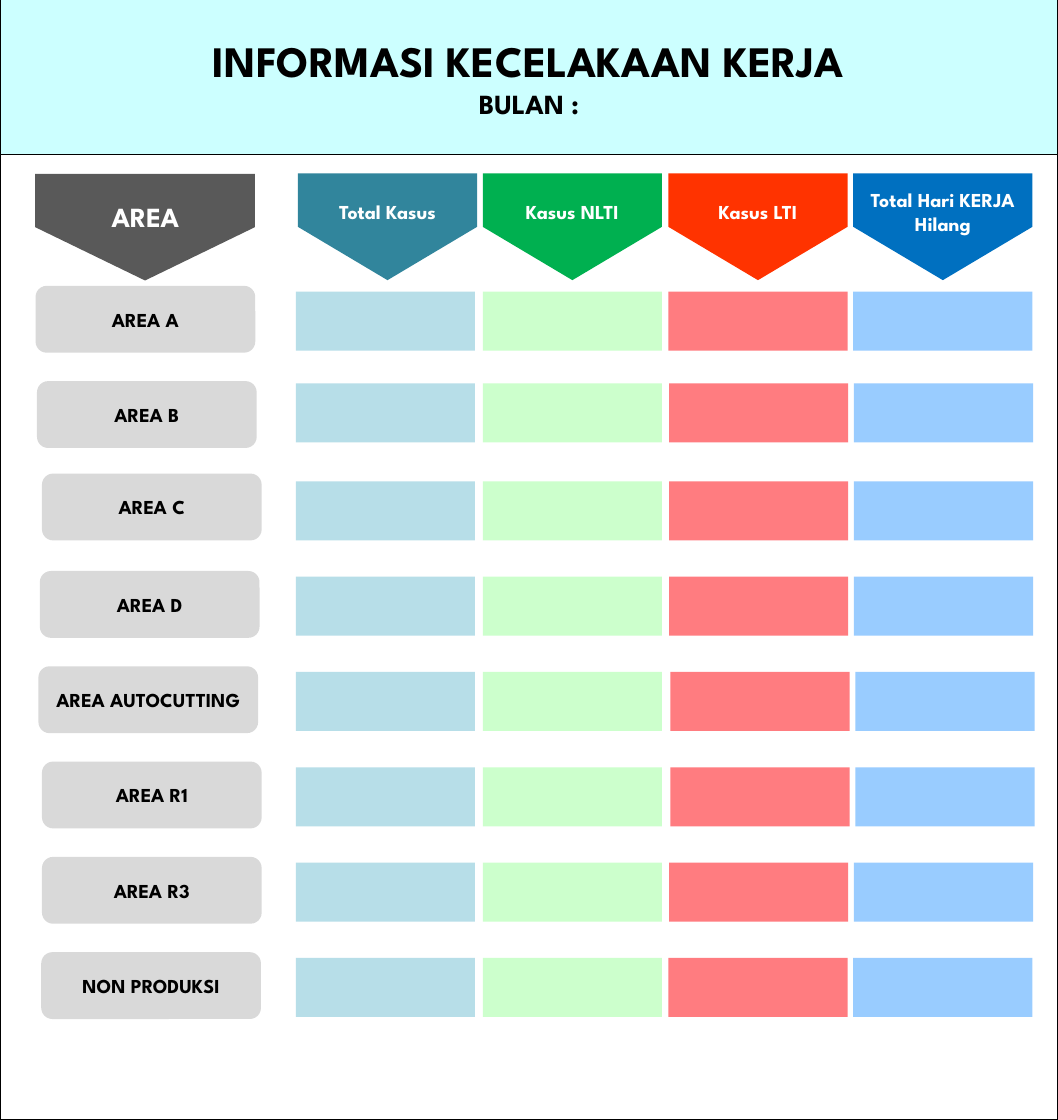
from pptx import Presentation
from pptx import util as u
from pptx.dml.color import RGBColor
from pptx.enum import shapes, text

PX = u.Inches(1) // 100
FONT = "League Spartan"
PAGE_WIDTH, PAGE_HEIGHT, BANNER_HEIGHT = 1488, 1575, 217

BLACK = RGBColor(0x00, 0x00, 0x00)
WHITE = RGBColor(0xFF, 0xFF, 0xFF)
CYAN = RGBColor(0xCC, 0xFF, 0xFF)
DARK_GREY = RGBColor(0x59, 0x59, 0x59)
LIGHT_GREY = RGBColor(0xD9, 0xD9, 0xD9)
TEAL = RGBColor(0x31, 0x85, 0x9C)
PALE_TEAL = RGBColor(0xB7, 0xDE, 0xE8)
GREEN = RGBColor(0x00, 0xB0, 0x50)
PALE_GREEN = RGBColor(0xCC, 0xFF, 0xCC)
RED = RGBColor(0xFF, 0x33, 0x00)
PALE_RED = RGBColor(0xFF, 0x7C, 0x80)
BLUE = RGBColor(0x00, 0x70, 0xC0)
PALE_BLUE = RGBColor(0x99, 0xCC, 0xFF)

HEADER_TOP, HEADER_HEIGHT = 244, 150
AREA_LEFT, AREA_WIDTH, AREA_HEIGHT = 50, 309, 94
CELL_WIDTH, CELL_HEIGHT = 252, 83

# Header text, header left, cell left, header colour, cell colour
COLUMNS = [
    ("Total Kasus", 419, 416, TEAL, PALE_TEAL),
    ("Kasus NLTI", 679, 679, GREEN, PALE_GREEN),
    ("Kasus LTI", 940, 940, RED, PALE_RED),
    ("Total Hari KERJA Hilang", 1200, 1200, BLUE, PALE_BLUE),
]
# Area name, label left, label top, cell top, shift of the last two cells
ROWS = [
    ("AREA A", 50, 402, 410, 0),
    ("AREA B", 52, 536, 539, 1),
    ("AREA C", 59, 666, 677, 1),
    ("AREA D", 56, 803, 811, 1),
    ("AREA AUTOCUTTING", 54, 937, 945, 3),
    ("AREA R1", 59, 1071, 1079, 3),
    ("AREA R3", 59, 1205, 1213, 1),
    ("NON PRODUKSI", 58, 1339, 1347, 0),
]


def scaled(box):
    return [length * PX for length in box]


def add_block(parent, kind, box, fill, line_width=None):
    block = parent.shapes.add_shape(kind, *scaled(box))
    block.shadow.inherit = False
    block.fill.solid()
    block.fill.fore_color.rgb = fill
    if line_width:
        block.line.color.rgb = BLACK
        block.line.width = u.Pt(line_width)
    else:
        block.line.fill.background()
    return block


def write(holder, lines, color):
    """Fill a shape with centred bold lines, given as (words, size) pairs."""
    frame = holder.text_frame
    frame.word_wrap = True
    frame.vertical_anchor = text.MSO_ANCHOR.MIDDLE
    for index, (words, size) in enumerate(lines):
        para = frame.add_paragraph() if index else frame.paragraphs[0]
        para.alignment = text.PP_ALIGN.CENTER
        span = para.add_run()
        span.text = words
        for name, value in {"name": FONT, "size": u.Pt(size), "bold": True}.items():
            setattr(span.font, name, value)
        span.font.color.rgb = color


def add_banner(page, box):
    banner = add_block(page, shapes.MSO_SHAPE.RECTANGLE, box, CYAN, 1)
    write(banner, [("INFORMASI KECELAKAAN KERJA", 44), ("BULAN :", 28)], BLACK)


def add_header(page, box, words, size, fill, text_drop=16):
    """Add a downward pentagon that fills the box, grouped with its caption."""
    left, top, width, height = box
    group = page.shapes.add_group_shape()
    inset = (width - height) // 2
    pentagon = add_block(group, shapes.MSO_SHAPE.PENTAGON,
                         (left + inset, top - inset, height, width), fill)
    pentagon.rotation = 90
    caption = group.shapes.add_textbox(
        *scaled((left, top + text_drop, width, height // 2)))
    write(caption, [(words, size)], WHITE)


def add_headers(page, top, height):
    add_header(page, (AREA_LEFT, top, AREA_WIDTH, height), "AREA", 28, DARK_GREY, 23)
    for words, left, _, fill, _ in COLUMNS:
        add_header(page, (left, top, CELL_WIDTH, height), words, 20, fill)


def add_row(page, name, label_left, label_top, cell_top, shift):
    label = add_block(page, shapes.MSO_SHAPE.ROUNDED_RECTANGLE,
                      (label_left, label_top, AREA_WIDTH, AREA_HEIGHT), LIGHT_GREY)
    write(label, [(name, 20)], BLACK)
    for index, (_, _, left, _, fill) in enumerate(COLUMNS):
        cell_left = left + (shift if index >= 2 else 0)
        add_block(page, shapes.MSO_SHAPE.RECTANGLE,
                  (cell_left, cell_top, CELL_WIDTH, CELL_HEIGHT), fill)


def main():
    deck = Presentation()
    deck.slide_width, deck.slide_height = scaled((PAGE_WIDTH, PAGE_HEIGHT))
    page = deck.slides.add_slide(deck.slide_layouts[6])
    add_block(page, shapes.MSO_SHAPE.RECTANGLE,
              (0, 0, PAGE_WIDTH, PAGE_HEIGHT), WHITE, 2)
    add_banner(page, (0, 0, PAGE_WIDTH, BANNER_HEIGHT))
    add_headers(page, HEADER_TOP, HEADER_HEIGHT)
    for row in ROWS:
        add_row(page, *row)
    deck.save("out.pptx")


if __name__ == "__main__":
    main()
